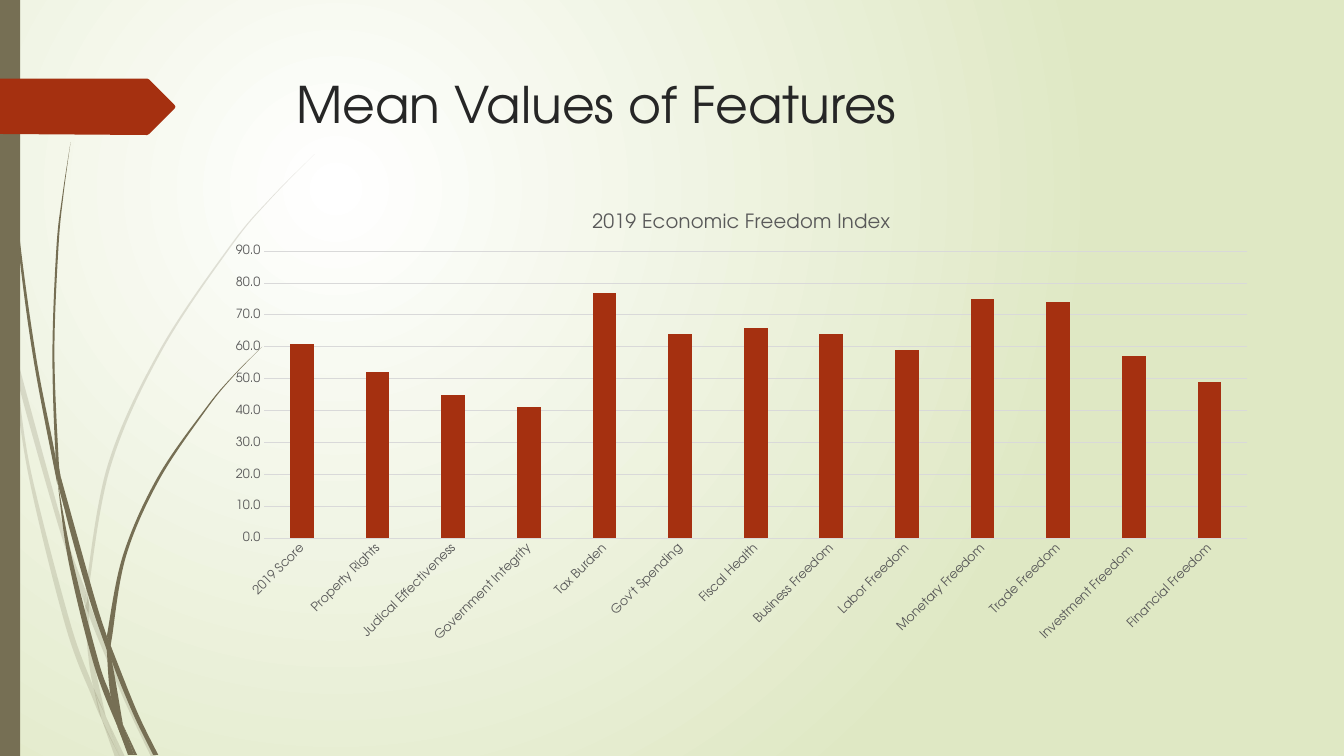
from lxml import etree
from pptx import Presentation, util as u
from pptx.chart.data import CategoryChartData
from pptx.dml.color import RGBColor
from pptx.enum import chart as ch, shapes as sh, text as tx
from pptx.oxml import parse_xml
from pptx.oxml.ns import nsdecls, qn

TITLE = "Mean Values of Features"
CHART_TITLE = "2019 Economic Freedom Index"
SERIES = "Series 1"
MEANS = {
    "2019 Score": 61, "Property Rights": 52, "Judical Effectiveness": 45,
    "Government Integrity": 41, "Tax Burden": 77, "Gov't Spending": 64,
    "Fiscal Health": 66, "Business Freedom": 64, "Labor Freedom": 59,
    "Monetary Freedom": 75, "Trade Freedom": 74, "Investment Freedom ": 57,
    "Financial Freedom": 49,
}

FONT = "TeX Gyre Adventor"
WHITE, PALE_GREEN = RGBColor(0xFF, 0xFF, 0xFF), RGBColor(0xDF, 0xE8, 0xC4)
OLIVE, RUST = RGBColor(0x76, 0x6F, 0x54), RGBColor(0xA5, 0x30, 0x10)
INK, GREY = RGBColor(0x26, 0x26, 0x26), RGBColor(0x59, 0x59, 0x59)
GRID = RGBColor(0xD9, 0xD9, 0xD9)

WIDTH, HEIGHT = 13.33, 7.5
CHART_BOX = (2.13, 1.92, 10.45, 4.54)
PLOT_SHARES = {"x": 0.047, "y": 0.126, "w": 0.933, "h": 0.627}

# Each piece of grass: left edge and right edge, from top to bottom, in inches
FAINT_GRASS = [
    ([(0, 2.99), (0.1, 3.44), (0.11, 3.5)], [(0, 2.82), (0.09, 3.22), (0.11, 3.5)]),
    ([(0.14, 3.45), (0.17, 3.76), (0.58, 5.22), (0.84, 5.99)],
     [(0.14, 3.45), (0.62, 5.2), (0.85, 5.86)]),
    ([(0.88, 5.96), (0.88, 6.1), (1.23, 6.94), (1.5, 7.51)],
     [(0.88, 5.96), (0.92, 6.07), (1.27, 6.92), (1.55, 7.51)]),
    ([(1.05, 7.11), (1.19, 7.51)], [(1.05, 7.11), (1.24, 7.51)]),
    ([(0.11, 3.5), (0.28, 4.7), (0.65, 6.21), (0.92, 6.93), (1.01, 7.14)],
     [(0.11, 3.5), (0.17, 3.76), (0.31, 4.69), (0.7, 6.19), (0.93, 6.83), (1.01, 7.14)]),
    ([(0.84, 5.99), (0.87, 6.46), (0.93, 6.83), (1.05, 7.11)],
     [(0.84, 5.99), (0.88, 6.1), (0.91, 6.46), (1.05, 7.11)]),
    ([(3.12, 1.53), (2.68, 1.97), (2.28, 2.44), (1.58, 3.48), (1.07, 4.61), (0.85, 5.84)],
     [(3.12, 1.53), (2.68, 1.98), (2.29, 2.45), (1.6, 3.49), (1.1, 4.62), (0.88, 5.84),
      (0.88, 5.96)]),
    ([(1.01, 7.14), (1.14, 7.51)], [(1.01, 7.14), (1.19, 7.51)]),
    ([(0.85, 5.86), (0.84, 5.99), (0.88, 6.08)], [(0.85, 5.86), (0.88, 5.96), (0.88, 6.1)]),
    ([(0.93, 6.83), (1.01, 7.14), (1.19, 7.51)], [(0.93, 6.83), (1.05, 7.11), (1.19, 7.51)]),
]
DARK_GRASS = [
    ([(0.03, 0), (0.07, 1.1), (0.17, 2.33), (0.33, 3.55), (0.57, 4.81)],
     [(0.04, 0), (0.08, 1.09), (0.19, 2.32), (0.36, 3.55), (0.55, 4.53), (0.57, 4.81)]),
    ([(0.6, 4.72), (0.64, 5.05), (0.88, 5.92), (1.06, 6.45)],
     [(0.6, 4.72), (0.93, 5.9), (1.06, 6.31)]),
    ([(1.1, 6.41), (1.11, 6.56), (1.32, 7.08), (1.52, 7.49)],
     [(1.1, 6.41), (1.36, 7.06), (1.57, 7.49)]),
    ([(0.57, 4.77), (0.68, 5.57), (0.93, 6.59), (1.17, 7.22)],
     [(0.57, 4.77), (0.72, 5.56), (0.98, 6.57), (1.1, 6.91), (1.17, 7.22)]),
    ([(0.7, 1.41), (0.62, 1.93), (0.56, 2.45), (0.52, 3.49), (0.55, 4.49), (0.6, 4.72)],
     [(0.7, 1.41), (0.63, 1.93), (0.58, 2.45), (0.54, 3.49), (0.58, 4.53), (0.6, 4.72)]),
    ([(1.22, 7.19), (1.33, 7.49)], [(1.22, 7.19), (1.36, 7.49)]),
    ([(0.55, 4.49), (0.57, 4.77), (0.64, 5.05)], [(0.55, 4.49), (0.6, 4.72), (0.64, 5.05)]),
    ([(2.6, 3.44), (2.31, 3.73), (2.04, 4.05), (1.56, 4.74), (1.22, 5.51), (1.06, 6.31)],
     [(2.6, 3.44), (2.31, 3.74), (2.05, 4.06), (1.58, 4.76), (1.25, 5.52), (1.11, 6.33),
      (1.1, 6.41)]),
    ([(1.17, 7.22), (1.27, 7.49)], [(1.17, 7.22), (1.31, 7.49)]),
    ([(1.06, 6.45), (1.1, 6.91), (1.22, 7.19)], [(1.06, 6.45), (1.11, 6.56), (1.22, 7.19)]),
    ([(1.06, 6.31), (1.06, 6.45), (1.11, 6.56)], [(1.06, 6.31), (1.1, 6.41), (1.11, 6.56)]),
    ([(1.1, 6.91), (1.17, 7.22), (1.3, 7.49)], [(1.1, 6.91), (1.22, 7.19), (1.33, 7.49)]),
]
TAG = [(0, 0.78), (1.46, 0.78), (1.48, 0.79), (1.73, 1.04), (1.74, 1.06),
       (1.73, 1.08), (1.48, 1.33), (1.46, 1.34), (0, 1.33)]


def paint(shape, color, opacity=100):
    shape.shadow.inherit = False
    shape.fill.solid()
    shape.fill.fore_color.rgb = color
    shape.line.fill.background()
    if opacity < 100:
        tint = shape.fill._xPr.find(".//" + qn("a:srgbClr"))
        etree.SubElement(tint, qn("a:alpha")).set("val", str(opacity * 1000))


def add_outline(slide, points, color, opacity=100):
    emu = [(u.Inches(x), u.Inches(y)) for x, y in points]
    builder = slide.shapes.build_freeform(*emu[0])
    builder.add_line_segments(emu[1:], close=True)
    shape = builder.convert_to_shape()
    paint(shape, color, opacity)
    return shape


def add_grass(slide, left, right, opacity):
    """Turn the straight sides between an edge's knots into smooth Bézier curves."""
    shape = add_outline(slide, left + right[::-1], OLIVE, opacity)
    sides = list(shape._element.iter(qn("a:lnTo")))
    for edge, first in ((left, 0), (right[::-1], len(left))):
        padded = [edge[0], *edge, edge[-1]]
        for side, a, b, c, d in zip(sides[first:], padded, padded[1:], padded[2:], padded[3:]):
            handles = ([q + (r - p) / 6 for p, q, r in zip(a, b, c)],
                       [q - (r - p) / 6 for p, q, r in zip(b, c, d)])
            for at, (x, y) in enumerate(handles):
                knot = etree.Element(qn("a:pt"))
                knot.set("x", str(u.Inches(x) - shape.left))
                knot.set("y", str(u.Inches(y) - shape.top))
                side.insert(at, knot)
            side.tag = qn("a:cubicBezTo")


def style_font(font, size, color):
    font.name, font.size, font.bold = FONT, u.Pt(size), False
    font.color.rgb = color


def write(frame, content, *, size, color):
    frame.text = content
    style_font(frame.paragraphs[0].runs[0].font, size, color)


def set_background(slide):
    fill = slide.background.fill
    fill.gradient()
    for stop, color, position in zip(fill.gradient_stops, (WHITE, PALE_GREEN), (0, 1)):
        stop.color.rgb, stop.position = color, position
    gradient = slide._element.find(".//" + qn("a:gradFill"))
    gradient.replace(gradient.find(qn("a:lin")), parse_xml(
        f'<a:path {nsdecls("a")} path="circle">'
        '<a:fillToRect l="50000" t="50000" r="100000" b="100000"/></a:path>'))


def add_means_chart(slide):
    data = CategoryChartData(number_format="0.0")
    data.categories = list(MEANS)
    data.add_series(SERIES, list(MEANS.values()))
    chart = slide.shapes.add_chart(
        ch.XL_CHART_TYPE.COLUMN_CLUSTERED, *map(u.Inches, CHART_BOX), data).chart
    style_font(chart.font, 10, GREY)
    chart.has_legend, chart.has_title = False, True
    write(chart.chart_title.text_frame, CHART_TITLE, size=14, color=GREY)
    chart.chart_title.include_in_layout = False

    plot = chart.plots[0]
    plot.gap_width, plot.overlap, plot.vary_by_categories = 219, -27, False
    bars = plot.series[0].format
    bars.fill.solid()
    bars.fill.fore_color.rgb = RUST

    features, scale = chart.category_axis, chart.value_axis
    for axis in (features, scale):
        axis.major_tick_mark = axis.minor_tick_mark = ch.XL_TICK_MARK.NONE
        style_font(axis.tick_labels.font, 9, GREY)
    scale.minimum_scale, scale.maximum_scale, scale.major_unit = 0, 90, 10
    scale.tick_labels.number_format = "0.0"
    scale.tick_labels.number_format_is_linked = False
    scale.format.line.fill.background()
    for line in (features.format.line, scale.major_gridlines.format.line):
        line.color.rgb, line.width = GRID, u.Pt(0.75)
    features._element.find(".//" + qn("a:bodyPr")).set("rot", "-2700000")

    area = chart._chartSpace.find(".//" + qn("c:plotArea"))
    for old in area.findall(qn("c:layout")):
        area.remove(old)
    shares = "".join(f'<c:{k} val="{v}"/>' for k, v in PLOT_SHARES.items())
    area.insert(0, parse_xml(
        f'<c:layout {nsdecls("c")}><c:manualLayout><c:layoutTarget val="inner"/>'
        f'<c:xMode val="edge"/><c:yMode val="edge"/>{shares}</c:manualLayout></c:layout>'))


deck = Presentation()
deck.slide_width, deck.slide_height = u.Inches(WIDTH), u.Inches(HEIGHT)
slide = deck.slides.add_slide(deck.slide_layouts[6])
set_background(slide)
for pieces, opacity in ((FAINT_GRASS, 20), (DARK_GRASS, 100)):
    for left, right in pieces:
        add_grass(slide, left, right, opacity)
paint(slide.shapes.add_shape(sh.MSO_SHAPE.RECTANGLE, 0, 0,
                             u.Inches(0.2), deck.slide_height), OLIVE)
add_outline(slide, TAG, RUST)
heading = slide.shapes.add_textbox(*map(u.Inches, (2.84, 0.68, 9.75, 1.4))).text_frame
heading.word_wrap, heading.vertical_anchor = True, tx.MSO_ANCHOR.TOP
write(heading, TITLE, size=36, color=INK)
add_means_chart(slide)
deck.save("out.pptx")
